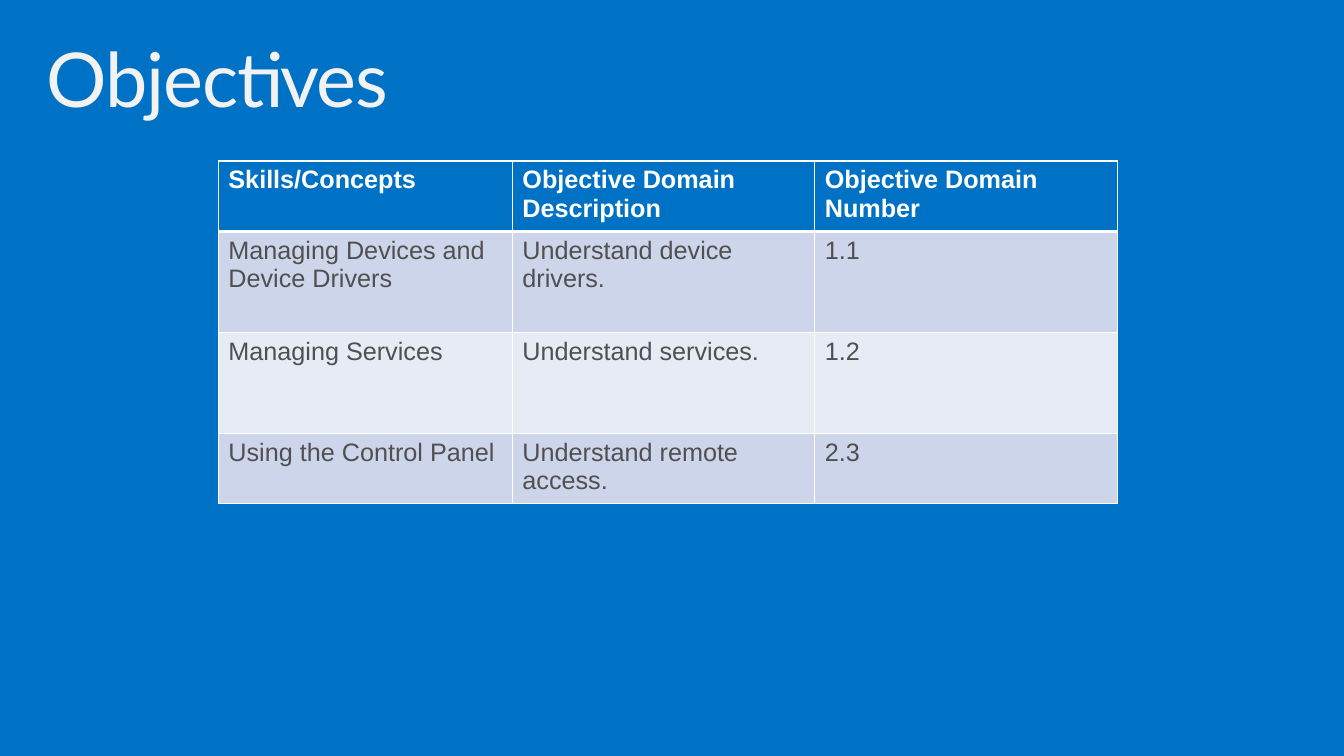
from lxml.etree import SubElement
from pptx import Presentation
from pptx.dml.color import RGBColor
from pptx.enum.text import MSO_ANCHOR, PP_ALIGN
from pptx.oxml.ns import qn
from pptx.util import Pt

BLUE = RGBColor(0x00, 0x72, 0xC6)
WHITE = RGBColor(0xFF, 0xFF, 0xFF)
OFF_WHITE = RGBColor(0xF2, 0xF2, 0xF2)
GRAY = RGBColor(0x50, 0x50, 0x50)
BAND_DARK = RGBColor(0xCC, 0xD5, 0xEA)
BAND_LIGHT = RGBColor(0xE7, 0xEB, 0xF5)

OBJECTIVES = [
    ("Skills/Concepts", "Objective Domain Description", "Objective Domain Number"),
    ("Managing Devices and Device Drivers", "Understand device drivers.", "1.1"),
    ("Managing Services", "Understand services.", "1.2"),
    ("Using the Control Panel", "Understand remote access.", "2.3"),
]


class Deck:
    title_font = "Lato"
    body_font = "Arial"

    def __init__(self, width, height):
        self.prs = Presentation()
        self.prs.slide_width, self.prs.slide_height = Pt(width), Pt(height)

    def add_slide(self, color):
        self.s = self.prs.slides.add_slide(self.prs.slide_layouts[5])
        fill = self.s.background.fill
        fill.solid()
        fill.fore_color.rgb = color

    def run(self, p, text, font, size, color, bold=False):
        r = p.add_run()
        r.text = text
        r.font.name, r.font.size, r.font.bold = font, Pt(size), bold
        r.font.color.rgb = color
        return r

    def title(self, text, left, top, width, height):
        sp = self.s.shapes.title
        sp.left, sp.top, sp.width, sp.height = map(Pt, (left, top, width, height))
        tf = sp.text_frame
        tf.word_wrap = True
        tf.vertical_anchor = MSO_ANCHOR.TOP
        tf.margin_left = tf.margin_right = Pt(11.5)
        tf.margin_top = tf.margin_bottom = Pt(7.2)
        p = tf.paragraphs[0]
        p.alignment = PP_ALIGN.LEFT
        p.line_spacing = 0.9
        r = self.run(p, text, self.title_font, 54, OFF_WHITE)
        r.font._element.set("spc", "-80")

    def borders(self, cell, **widths):
        """Draw white borders; widths maps the sides L, R, T and B to points."""
        tcPr = cell._tc.get_or_add_tcPr()
        for side, width in widths.items():
            ln = SubElement(tcPr, qn(f"a:ln{side}"), w=str(Pt(width)))
            fill = SubElement(ln, qn("a:solidFill"))
            SubElement(fill, qn("a:srgbClr"), val=str(WHITE))

    def table(self, rows, left, top, col_widths, row_heights):
        """Add a table with a blue header row and banded body rows."""
        table = self.s.shapes.add_table(
            len(rows), len(col_widths), Pt(left), Pt(top),
            Pt(sum(col_widths)), Pt(sum(row_heights))).table
        for column, width in zip(table.columns, col_widths):
            column.width = Pt(width)
        for i, (row, texts) in enumerate(zip(table.rows, rows)):
            row.height = Pt(row_heights[i])
            header = i == 0
            color = BLUE if header else BAND_DARK if i % 2 else BAND_LIGHT
            for cell, text in zip(row.cells, texts):
                self.borders(cell, L=1, R=1, T=3 if i == 1 else 1, B=3 if header else 1)
                cell.fill.solid()
                cell.fill.fore_color.rgb = color
                self.run(cell.text_frame.paragraphs[0], text, self.body_font, 18,
                         WHITE if header else GRAY, header)


def main():
    deck = Deck(960, 540)
    deck.add_slide(BLUE)
    deck.title("Objectives", 21.6, 23, 918, 70.5)
    deck.table(OBJECTIVES, 156, 115, (210, 216, 216), (50.4, 72, 72, 50.4))
    deck.prs.save("out.pptx")


if __name__ == "__main__":
    main()
